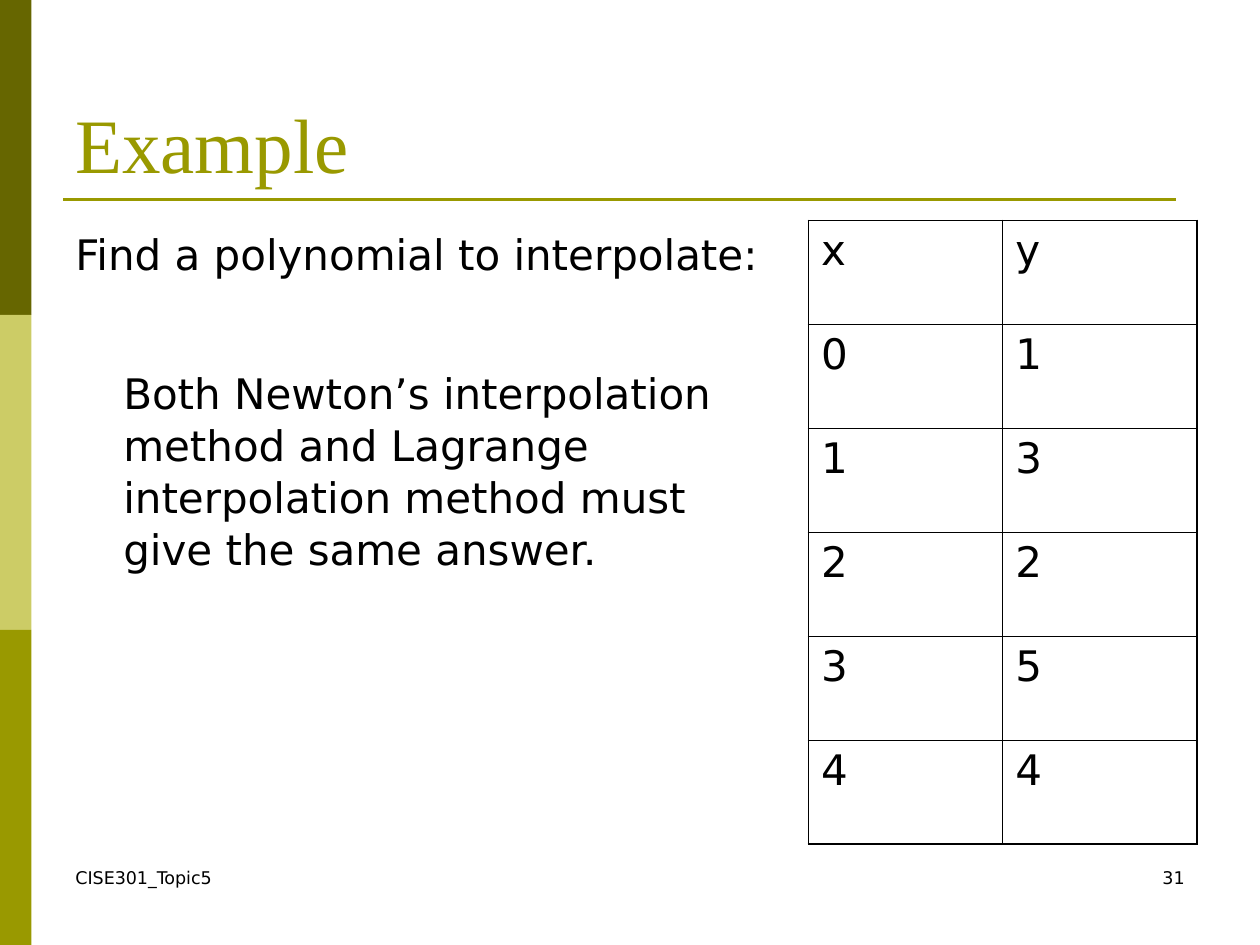
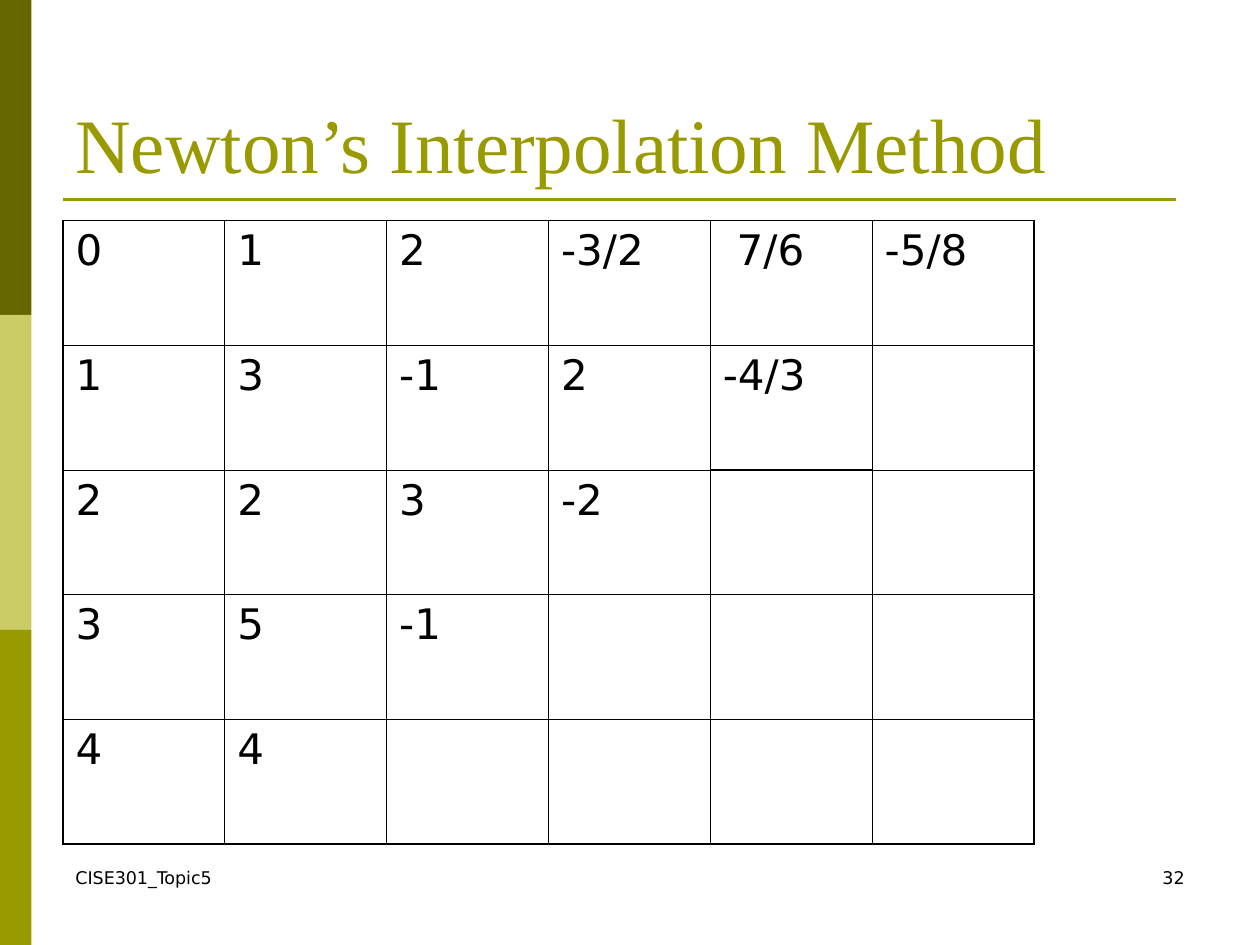
from lxml import etree
from pptx import Presentation
from pptx import util as u
from pptx.dml.color import RGBColor
from pptx.enum import shapes, text
from pptx.oxml.ns import qn

COLORS = {"dark": "666600", "light": "CCCC66", "olive": "999900", "ink": "000000"}
TITLE_FONT, BODY_FONT = "Times New Roman", "DejaVu Sans"
UNIT = 0.25  # grid pitch in inches: 40 columns by 30 rows
LEFT, TOP, HEIGHT = 2, 7, 19.8  # content area in grid units
THIN, THICK = 0.45, 1.08  # table rules in points


def grid(n):
    return u.Inches(n * UNIT)


def rgb(name):
    return RGBColor.from_string(COLORS[name])


class Deck:
    def __init__(self):
        self.prs = Presentation()
        self.prs.slide_width, self.prs.slide_height = grid(40), grid(30)
        self.s = None

    def slide(self, title, number):
        """Start a slide with the side bands, title, rule and footer."""
        self.s = self.prs.slides.add_slide(self.prs.slide_layouts[6])
        for i, color in enumerate(("dark", "light", "olive")):
            self.band(0, 10 * i, 1, 10, color)
        self.rule(LEFT, 37.33, 6.33)
        self.text((LEFT, 27.33, 9.33, 2), ["CISE301_Topic5"], size=10)
        self.text((28.67, 27.33, 9.33, 2), [str(number)], size=10,
                  align=text.PP_ALIGN.RIGHT)
        self.text((LEFT, 1.2, 36, 5), [title], size=44, font=TITLE_FONT,
                  color="olive", anchor=text.MSO_ANCHOR.BOTTOM)

    def band(self, x, y, w, h, color):
        sp = self.s.shapes.add_shape(shapes.MSO_SHAPE.RECTANGLE,
                                     grid(x), grid(y), grid(w), grid(h))
        sp.shadow.inherit = False
        sp.fill.solid()
        sp.fill.fore_color.rgb = rgb(color)
        sp.line.fill.background()

    def rule(self, x1, x2, y):
        line = self.s.shapes.add_connector(shapes.MSO_CONNECTOR.STRAIGHT,
                                           grid(x1), grid(y), grid(x2), grid(y))
        line.line.color.rgb = rgb("olive")
        line.line.width = u.Pt(1.5)
        etree.SubElement(line._element.spPr, qn("a:effectLst"))

    def run(self, p, words, size=24, font=BODY_FONT, color="ink"):
        r = p.add_run()
        r.text = words
        r.font.size, r.font.name = u.Pt(size), font
        r.font.color.rgb = rgb(color)

    def text(self, box, lines, align=text.PP_ALIGN.LEFT,
             anchor=text.MSO_ANCHOR.TOP, **style):
        """Add a text box and return its paragraphs."""
        tf = self.s.shapes.add_textbox(*map(grid, box)).text_frame
        tf.word_wrap, tf.vertical_anchor = True, anchor
        for i, words in enumerate(lines):
            p = tf.add_paragraph() if i else tf.paragraphs[0]
            p.alignment = align
            self.run(p, words, **style)
        return tf.paragraphs

    def table(self, x, w, rows, underlined=(), indented=()):
        """Add a table; rows may stop short, leaving empty cells at the right."""
        n_rows, n_cols = len(rows), max(map(len, rows))
        tbl = self.s.shapes.add_table(n_rows, n_cols, grid(x), grid(TOP),
                                      grid(w), grid(HEIGHT)).table
        tbl.first_row = tbl.horz_banding = False
        for r in range(n_rows):
            for c in range(n_cols):
                cell = tbl.cell(r, c)
                cell.fill.background()
                if (r, c) in indented:
                    cell.margin_left = u.Inches(0.21)
                if c < len(rows[r]):
                    self.run(cell.text_frame.paragraphs[0], rows[r][c])
                self.borders(cell, {
                    "lnL": c == 0,
                    "lnR": c == n_cols - 1,
                    "lnT": r == 0 or (r - 1, c) in underlined,
                    "lnB": r == n_rows - 1 or (r, c) in underlined,
                })

    def borders(self, cell, thick_sides):
        tcPr = cell._tc.get_or_add_tcPr()
        for i, (side, thick) in enumerate(thick_sides.items()):
            ln = etree.Element(qn(f"a:{side}"), w=str(u.Pt(THICK if thick else THIN)))
            fill = etree.SubElement(ln, qn("a:solidFill"))
            etree.SubElement(fill, qn("a:srgbClr"), val=COLORS["ink"])
            tcPr.insert(i, ln)


def example(deck):
    deck.slide("Example", 31)
    task, remark = deck.text((LEFT, TOP, 23.33, HEIGHT), [
        "Find a polynomial to interpolate:",
        "Both Newton’s interpolation method and Lagrange interpolation method "
        "must give the same answer.",
    ])
    task.line_spacing = remark.line_spacing = 1.03
    remark.space_before = u.Pt(50)
    remark._p.get_or_add_pPr().set("marL", str(u.Inches(0.38)))
    deck.table(25.67, 12.33, ["xy", "01", "13", "22", "35", "44"])


def newton(deck):
    deck.slide("Newton’s Interpolation Method", 32)
    differences = [
        ["0", "1", "2", "-3/2", "7/6", "-5/8"],
        ["1", "3", "-1", "2", "-4/3"],
        ["2", "2", "3", "-2"],
        ["3", "5", "-1"],
        ["4", "4"],
    ]
    last_entries = {(r, 5 - r) for r in (1, 2, 3)}
    deck.table(LEFT, 30.83, differences, last_entries, indented={(0, 4)})


def main():
    deck = Deck()
    example(deck)
    newton(deck)
    deck.prs.save("out.pptx")


if __name__ == "__main__":
    main()
